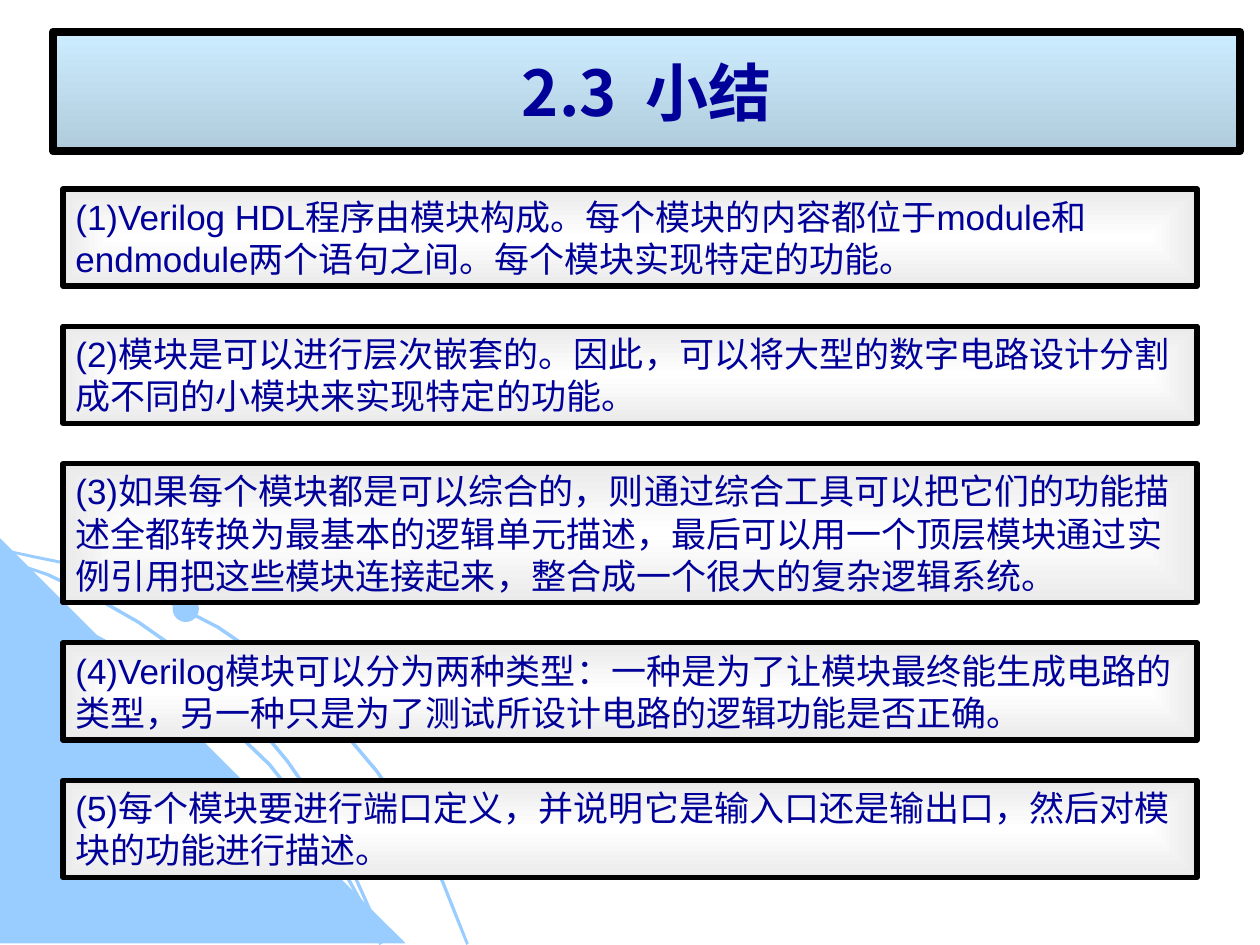
"""Build the summary slide of section 2.3 with its five framed points."""
from lxml.etree import SubElement
from pptx import Presentation
from pptx.dml.color import RGBColor
from pptx.enum.shapes import MSO_SHAPE
from pptx.enum.text import MSO_ANCHOR, MSO_AUTO_SIZE, PP_ALIGN
from pptx.oxml.ns import qn
from pptx.util import Cm, Pt

TITLE = "2.3  小结"
POINTS = [
    ("(1)Verilog HDL程序由模块构成。每个模块的内容都位于module和endmodule两个语句之间。每个模块实现特定的功能。", 2),
    ("(2)模块是可以进行层次嵌套的。因此，可以将大型的数字电路设计分割成不同的小模块来实现特定的功能。", 2),
    ("(3)如果每个模块都是可以综合的，则通过综合工具可以把它们的功能描述全都转换为最基本的逻辑单元描述，最后可以用一个顶层模块通过实例引用把这些模块连接起来，整合成一个很大的复杂逻辑系统。", 3),
    ("(4)Verilog模块可以分为两种类型：一种是为了让模块最终能生成电路的类型，另一种只是为了测试所设计电路的逻辑功能是否正确。", 2),
    ("(5)每个模块要进行端口定义，并说明它是输入口还是输出口，然后对模块的功能进行描述。", 2),
]
WEDGE = [(0, 10.85), (8.18, 19.02), (0, 19.02)]
CURVES = [
    [(0, 11.05), (0.71, 11.2), (1.45, 11.35), (2.49, 11.66), (3.45, 12.12),
     (4.42, 12.62), (5.31, 13.23), (6.15, 13.92), (6.91, 14.68), (7.62, 15.52),
     (8.26, 16.46), (8.61, 17.09), (8.94, 17.73), (9.19, 18.36), (9.45, 19.02)],
    [(0, 12.07), (1.04, 12.4), (2.01, 12.83), (2.97, 13.36), (3.86, 13.94),
     (4.67, 14.63), (5.46, 15.39), (6.15, 16.26), (6.76, 17.17), (7.26, 18.08),
     (7.52, 18.54), (7.7, 19.02)],
    [(0, 11.23), (0.99, 11.56), (1.93, 12.01), (2.82, 12.52), (3.66, 13.11),
     (4.45, 13.79), (5.18, 14.55), (5.82, 15.32), (6.45, 16.23), (6.83, 16.89),
     (7.16, 17.6), (7.47, 18.29), (7.7, 19.02)],
]
DOTS = [(0.91, 12.27, 0.38), (6.78, 17.12, 0.41), (3.48, 12.01, 0.53)]
THEME = {
    "ink": "010199", "frame": "000000", "decor": "99CCFF",
    "title": ("CCECFF", "B0CCDC"), "point": ("FFFFFF", "EAEAEA"),
    "head": ("Noto Sans CJK SC", 36), "body": ("Arial", 20),
}
LEFT, TOP, WIDTH = 1.27, 3.81, 22.86
GAP, LINE, PAD, BAND = 0.81, 0.84, 0.28, 0.05


def tint(shape, color):
    shape.shadow.inherit = False
    shape.fill.solid()
    shape.fill.fore_color.rgb = RGBColor.from_string(color)
    shape.line.fill.background()


def outline(shapes, dots):
    grid = [(round(x * 100), round(y * 100)) for x, y in dots]
    pen = shapes.build_freeform(*grid[0], scale=Cm(0.01))
    pen.add_line_segments(grid[1:], close=True)
    tint(pen.convert_to_shape(), THEME["decor"])


def decorate(shapes):
    outline(shapes, WEDGE)
    for curve in CURVES:
        edge = [(max(x - BAND, 0), min(y + BAND, 19.05)) for x, y in curve]
        outline(shapes, curve + edge[::-1])
    for x, y, size in DOTS:
        dot = shapes.add_shape(MSO_SHAPE.OVAL, Cm(x), Cm(y), Cm(size), Cm(size))
        tint(dot, THEME["decor"])


def frame(shape, colors, width):
    shape.fill.gradient()
    for stop, color in zip(shape.fill.gradient_stops, colors):
        stop.color.rgb = RGBColor.from_string(color)
    shape.line.color.rgb = RGBColor.from_string(THEME["frame"])
    shape.line.width = Pt(width)


def center(shape):
    grad = shape.fill._xPr.find(qn("a:gradFill"))
    grad.remove(grad.find(qn("a:lin")))
    path = SubElement(grad, qn("a:path"), path="rect")
    SubElement(path, qn("a:fillToRect"), l="50000", t="50000", r="50000", b="50000")


def write(shape, text, style, align, anchor):
    box = shape.text_frame
    box.text = text
    box.word_wrap = True
    box.vertical_anchor = anchor
    para = box.paragraphs[0]
    para.alignment = align
    font = para.font
    font.name, font.size = style[0], Pt(style[1])
    font.color.rgb = RGBColor.from_string(THEME["ink"])
    return font


def head(shape):
    shape.left, shape.top = Cm(1.07), Cm(0.64)
    shape.width, shape.height = Cm(23.93), Cm(2.41)
    frame(shape, THEME["title"], 4.5)
    shape.fill.gradient_angle = 270
    font = write(shape, TITLE, THEME["head"], PP_ALIGN.CENTER, MSO_ANCHOR.MIDDLE)
    font.bold = True
    shape.text_frame.auto_size = MSO_AUTO_SIZE.NONE


def stack(shapes):
    top = TOP
    for text, lines in POINTS:
        tall = PAD + LINE * lines
        box = shapes.add_shape(
            MSO_SHAPE.RECTANGLE, Cm(LEFT), Cm(top), Cm(WIDTH), Cm(tall))
        box.shadow.inherit = False
        frame(box, THEME["point"], 3)
        center(box)
        write(box, text, THEME["body"], PP_ALIGN.LEFT, MSO_ANCHOR.TOP)
        box.text_frame.auto_size = MSO_AUTO_SIZE.SHAPE_TO_FIT_TEXT
        top += tall + GAP


def main():
    deck = Presentation()
    deck.slide_width, deck.slide_height = Cm(25.4), Cm(19.05)
    slide = deck.slides.add_slide(deck.slide_layouts[5])
    decorate(slide.shapes)
    head(slide.shapes.title)
    stack(slide.shapes)
    deck.save("out.pptx")


if __name__ == "__main__":
    main()
